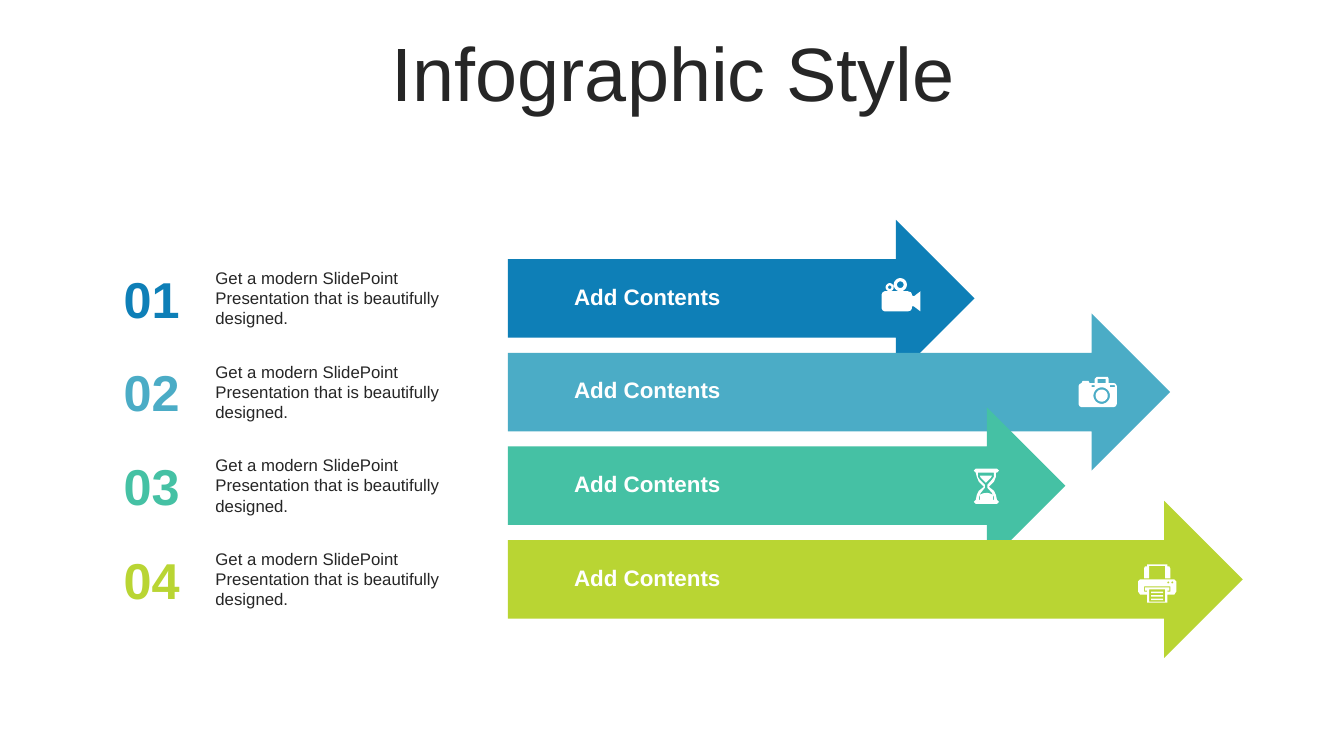
from dataclasses import dataclass
from math import cos, pi, sin

from pptx import Presentation
from pptx.dml.color import RGBColor
from pptx.enum.shapes import MSO_SHAPE
from pptx.enum.text import MSO_ANCHOR, MSO_AUTO_SIZE, PP_ALIGN
from pptx.shapes.base import BaseShape
from pptx.slide import Slide
from pptx.text.text import TextFrame
from pptx.util import Cm, Pt

Contour = list[tuple[float, float]]


@dataclass(frozen=True)
class Theme:
    font: str = "Arial"
    ink: str = "262626"
    white: str = "FFFFFF"
    blue: str = "0E7FB7"
    sky: str = "4BACC6"
    teal: str = "45C1A4"
    lime: str = "B9D533"
    title_size: int = 54
    number_size: int = 36
    label_size: int = 16
    description_size: int = 12


@dataclass(frozen=True)
class Step:
    color: str
    arrow_width: float
    icon_left: float
    icon_top: float
    icon: list[Contour]


THEME = Theme()
DESCRIPTION = "Get a modern SlidePoint Presentation that is beautifully designed."
LABEL = "Add Contents"

# Row layout, in centimetres
ROW_PITCH = 2.36
ARROW_LEFT, ARROW_TOP, ARROW_HEIGHT = 12.8, 5.54, 3.96
TEXT_TOP, TEXT_HEIGHT = 6.62, 1.8
LABEL_TOP, LABEL_HEIGHT = 7.0, 0.94

# Icon points are whole or half grid steps; the builder works in tenths of a step
ICON_STEP = Cm(0.0254)
TENTHS = 10


def rectangle(left: float, top: float, right: float, bottom: float) -> Contour:
    return [(left, top), (right, top), (right, bottom), (left, bottom)]


def circle(x: float, y: float, radius: float, sides: int = 40) -> Contour:
    angles = [2 * pi * side / sides for side in range(sides)]
    return [(x + radius * cos(a), y + radius * sin(a)) for a in angles]


# Icons: each contour inside another cuts a hole in it
VIDEO_CAMERA = [
    [(3, 13), (26, 13), (29, 14), (30, 16), (30, 17), (32, 18), (38.5, 13),
     (38.5, 33), (32, 28), (30, 28), (30, 30), (29, 32), (26, 33), (3, 33),
     (1, 32), (0, 30), (0, 16), (1, 14)],
    circle(18.5, 6.5, 6.5), circle(18.5, 6.5, 3.3),
    circle(8, 9, 4), circle(8, 9, 1.7),
]
PHOTO_CAMERA = [
    [(18, 0), (29, 0), (30, 2), (30, 6), (35, 6), (37, 7), (38, 9), (38, 27),
     (37, 29), (35, 30), (3, 30), (1, 29), (0, 27), (0, 9), (1, 7), (3, 6),
     (4, 4), (10, 4), (11, 6), (16, 6), (16, 2)],
    circle(23, 18.5, 8.2), circle(23, 18.5, 6),
    rectangle(13, 8, 16, 10), rectangle(31, 8, 36, 10), rectangle(19, 2, 27, 6),
]
HOURGLASS = [
    [(2, 0), (23, 0), (25, 2), (23, 4), (22, 4), (22, 8), (20, 13), (15, 18),
     (20, 22), (22, 26), (23, 31), (25, 33), (23, 35), (2, 35), (0, 33),
     (2, 31), (3, 26), (5, 22), (10, 18), (5, 13), (3, 8), (2, 4), (0, 2)],
    [(4, 4), (4, 8), (6, 11), (11, 16), (11, 19), (7, 24), (5, 28), (5, 31),
     (20, 31), (20, 28), (18, 24), (13.5, 19), (13.5, 16), (18, 11), (20, 8), (20, 4)],
    [(6, 7), (18, 7), (17, 9), (12, 14), (7, 9)],
    [(6, 31), (6, 26), (9, 24.5), (13, 24), (16, 24.5), (19, 26), (19, 31)],
]
PRINTER = [
    [(9, 0), (29, 0), (29, 2), (31, 2), (32, 4), (32, 14), (27, 14), (27, 1.5),
     (11, 1.5), (11, 14), (6, 14), (6, 4), (7, 2), (9, 2)],
    [(2, 15), (36, 15), (38, 17), (38, 27), (36, 30), (29, 30), (29, 38),
     (9, 38), (9, 30), (2, 30), (0, 27), (0, 17)],
    [(6, 22), (6, 27), (9, 27), (9, 26), (7, 26), (7, 23), (31, 23), (31, 26),
     (29, 26), (29, 27), (32, 27), (32, 22)],
    rectangle(11, 25, 27, 37),
    *[rectangle(13, top, 25, top + 1.5) for top in (27, 30.5, 34)],
    circle(30, 18, 1), circle(34, 18, 1),
]

STEPS = [
    Step(THEME.blue, 11.76, 22.22, 7.01, VIDEO_CAMERA),
    Step(THEME.sky, 16.69, 27.18, 9.5, PHOTO_CAMERA),
    Step(THEME.teal, 14.05, 24.54, 11.81, HOURGLASS),
    Step(THEME.lime, 18.52, 28.68, 14.22, PRINTER),
]


def write(frame: TextFrame, text: str, *, size: int, color: str,
          bold: bool = False, align: PP_ALIGN = PP_ALIGN.LEFT) -> None:
    frame.word_wrap = True
    paragraph = frame.paragraphs[0]
    paragraph.alignment = align
    run = paragraph.add_run()
    run.text = text
    run.font.name = THEME.font
    run.font.size = Pt(size)
    run.font.bold = bold
    run.font.color.rgb = RGBColor.from_string(color)


def add_text(slide: Slide, left: float, top: float, width: float, height: float) -> TextFrame:
    frame = slide.shapes.add_textbox(Cm(left), Cm(top), Cm(width), Cm(height)).text_frame
    frame.auto_size = MSO_AUTO_SIZE.SHAPE_TO_FIT_TEXT
    return frame


def paint(shape: BaseShape, color: str) -> None:
    shape.shadow.inherit = False
    shape.fill.solid()
    shape.fill.fore_color.rgb = RGBColor.from_string(color)
    shape.line.fill.background()


def draw_title(slide: Slide, text: str) -> None:
    title = slide.shapes.title
    title.left, title.top, title.width, title.height = Cm(0.89), Cm(0.94), Cm(32.16), Cm(2)
    frame = title.text_frame
    frame.auto_size = MSO_AUTO_SIZE.NONE
    frame.vertical_anchor = MSO_ANCHOR.MIDDLE
    frame.paragraphs[0].line_spacing = 0.9
    write(frame, text, size=THEME.title_size, color=THEME.ink, align=PP_ALIGN.CENTER)


def draw_arrow(slide: Slide, step: Step, row: int) -> None:
    arrow = slide.shapes.add_shape(
        MSO_SHAPE.RIGHT_ARROW, Cm(ARROW_LEFT), Cm(ARROW_TOP + row * ROW_PITCH),
        Cm(step.arrow_width), Cm(ARROW_HEIGHT))
    paint(arrow, step.color)


def draw_texts(slide: Slide, step: Step, row: int) -> None:
    offset = row * ROW_PITCH
    number = add_text(slide, 2.62, TEXT_TOP + offset, 2.41, TEXT_HEIGHT)
    write(number, f"{row + 1:02}", size=THEME.number_size, color=step.color,
          bold=True, align=PP_ALIGN.CENTER)
    description = add_text(slide, 5.18, TEXT_TOP + offset, 6.48, TEXT_HEIGHT)
    write(description, DESCRIPTION, size=THEME.description_size, color=THEME.ink)
    label = add_text(slide, 14.22, LABEL_TOP + offset, 6.27, LABEL_HEIGHT)
    write(label, LABEL, size=THEME.label_size, color=THEME.white, bold=True)


def draw_icon(slide: Slide, step: Step) -> None:
    contours = [[(round(x * TENTHS), round(y * TENTHS)) for x, y in contour]
                for contour in step.icon]
    first, *others = contours
    builder = slide.shapes.build_freeform(*first[0], scale=ICON_STEP / TENTHS)
    builder.add_line_segments(first[1:], close=True)
    for contour in others:
        builder.move_to(*contour[0])
        builder.add_line_segments(contour[1:], close=True)
    paint(builder.convert_to_shape(Cm(step.icon_left), Cm(step.icon_top)), THEME.white)


def main() -> None:
    presentation = Presentation()
    presentation.slide_width, presentation.slide_height = Cm(33.87), Cm(19.05)
    slide = presentation.slides.add_slide(presentation.slide_layouts[5])

    draw_title(slide, "Infographic Style")

    # Arrows lie beneath all texts and icons
    for row, step in enumerate(STEPS):
        draw_arrow(slide, step, row)
    for row, step in enumerate(STEPS):
        draw_texts(slide, step, row)
        draw_icon(slide, step)

    presentation.save("out.pptx")


if __name__ == "__main__":
    main()
